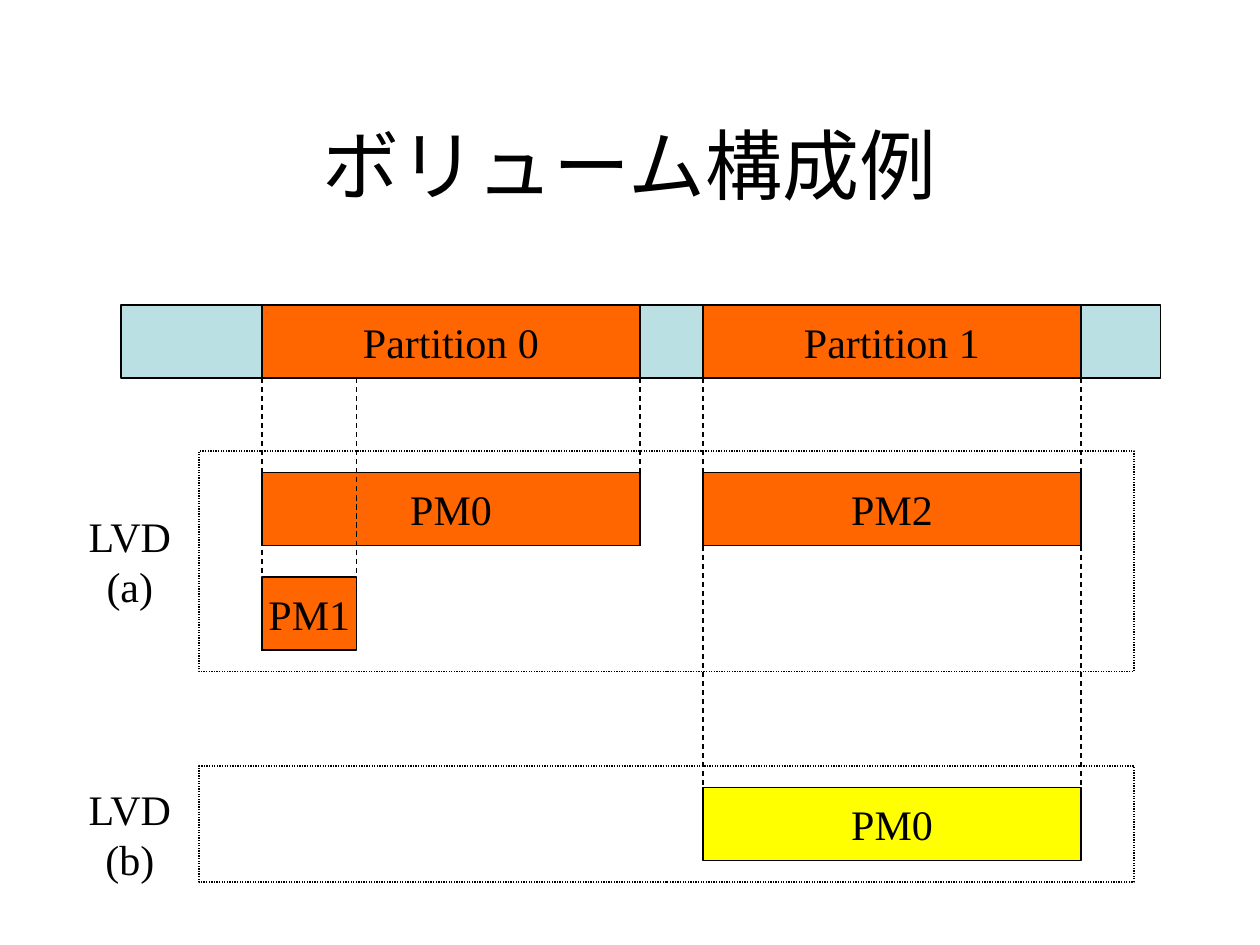
from lxml import etree
from pptx import Presentation
from pptx.dml.color import RGBColor
from pptx.enum.dml import MSO_LINE
from pptx.enum.shapes import MSO_CONNECTOR, MSO_SHAPE
from pptx.enum.text import MSO_ANCHOR, PP_ALIGN
from pptx.oxml.ns import qn
from pptx.util import Inches, Pt

RECTANGLE = MSO_SHAPE.RECTANGLE
STRAIGHT = MSO_CONNECTOR.STRAIGHT
DASH = MSO_LINE.DASH
DOT = MSO_LINE.ROUND_DOT
CENTER = PP_ALIGN.CENTER
MIDDLE = MSO_ANCHOR.MIDDLE
TOP = MSO_ANCHOR.TOP

BLACK = RGBColor(0x00, 0x00, 0x00)
PALE_BLUE = RGBColor(0xBB, 0xE0, 0xE3)
ORANGE = RGBColor(0xFF, 0x66, 0x00)
YELLOW = RGBColor(0xFF, 0xFF, 0x00)
FONT = "Times New Roman"

PART0, PART1 = 2.08, 5.58
PART_WIDTH, PM1_WIDTH = 3, 0.75
BAR_HEIGHT = 0.58
DISK_TOP, DISK_BOTTOM = 2.42, 3
FRAME_LEFT, FRAME_WIDTH = 1.58, 7.42


def write(shape, lines, size, anchor=MIDDLE, wrap=False):
    frame = shape.text_frame
    frame.word_wrap = wrap
    frame.vertical_anchor = anchor
    for index, line in enumerate(lines):
        paragraph = frame.add_paragraph() if index else frame.paragraphs[0]
        paragraph.alignment = CENTER
        run = paragraph.add_run()
        run.text = line
        run.font.size = Pt(size)
        run.font.name = FONT
        run.font.color.rgb = BLACK


def add_box(left, top, width, height, fill=None):
    box = slide.shapes.add_shape(
        RECTANGLE, Inches(left), Inches(top), Inches(width), Inches(height)
    )
    box.shadow.inherit = False
    if fill is None:
        box.fill.background()
    else:
        box.fill.solid()
        box.fill.fore_color.rgb = fill
    box.line.color.rgb = BLACK
    box.line.width = Pt(0.75)
    return box


prs = Presentation()
prs.slide_width = Inches(10)
prs.slide_height = Inches(7.5)
slide = prs.slides.add_slide(prs.slide_layouts[6])

title = slide.shapes.add_textbox(Inches(0.75), Inches(0.67), Inches(8.5), Inches(1.25))
write(title, ["ボリューム構成例"], 44, wrap=True)

add_box(0.96, DISK_TOP, 8.25, BAR_HEIGHT, PALE_BLUE)

for name, left, top, width, color in [
    ("Partition 0", PART0, DISK_TOP, PART_WIDTH, ORANGE),
    ("Partition 1", PART1, DISK_TOP, PART_WIDTH, ORANGE),
    ("PM0", PART0, 3.75, PART_WIDTH, ORANGE),
    ("PM1", PART0, 4.58, PM1_WIDTH, ORANGE),
    ("PM2", PART1, 3.75, PART_WIDTH, ORANGE),
    ("PM0", PART1, 6.25, PART_WIDTH, YELLOW),
]:
    write(add_box(left, top, width, BAR_HEIGHT, color), [name], 24)

for letter, frame_top, frame_height, label_top in [
    ("(a)", 3.58, 1.75, 4),
    ("(b)", 6.08, 0.92, 6.17),
]:
    volume = add_box(FRAME_LEFT, frame_top, FRAME_WIDTH, frame_height)
    volume.line.dash_style = DOT
    label = slide.shapes.add_textbox(
        Inches(0.59), Inches(label_top), Inches(0.88), Inches(0.9)
    )
    write(label, ["LVD", letter], 24, anchor=TOP)

for x, start, end in [
    (PART0, DISK_BOTTOM, 5.17),
    (PART0 + PM1_WIDTH, DISK_BOTTOM, 4.83),
    (PART0 + PART_WIDTH, DISK_BOTTOM, 4.33),
    (PART1, DISK_BOTTOM, 4.33),
    (PART1 + PART_WIDTH, DISK_BOTTOM, 4.33),
    (PART1, 4.33, 6.25),
    (PART1 + PART_WIDTH, 4.33, 6.25),
]:
    guide = slide.shapes.add_connector(
        STRAIGHT, Inches(x), Inches(start), Inches(x), Inches(end)
    )
    guide.line.color.rgb = BLACK
    guide.line.width = Pt(0.75)
    guide.line.dash_style = DASH
    etree.SubElement(guide._element.spPr, qn("a:effectLst"))

prs.save("out.pptx")
